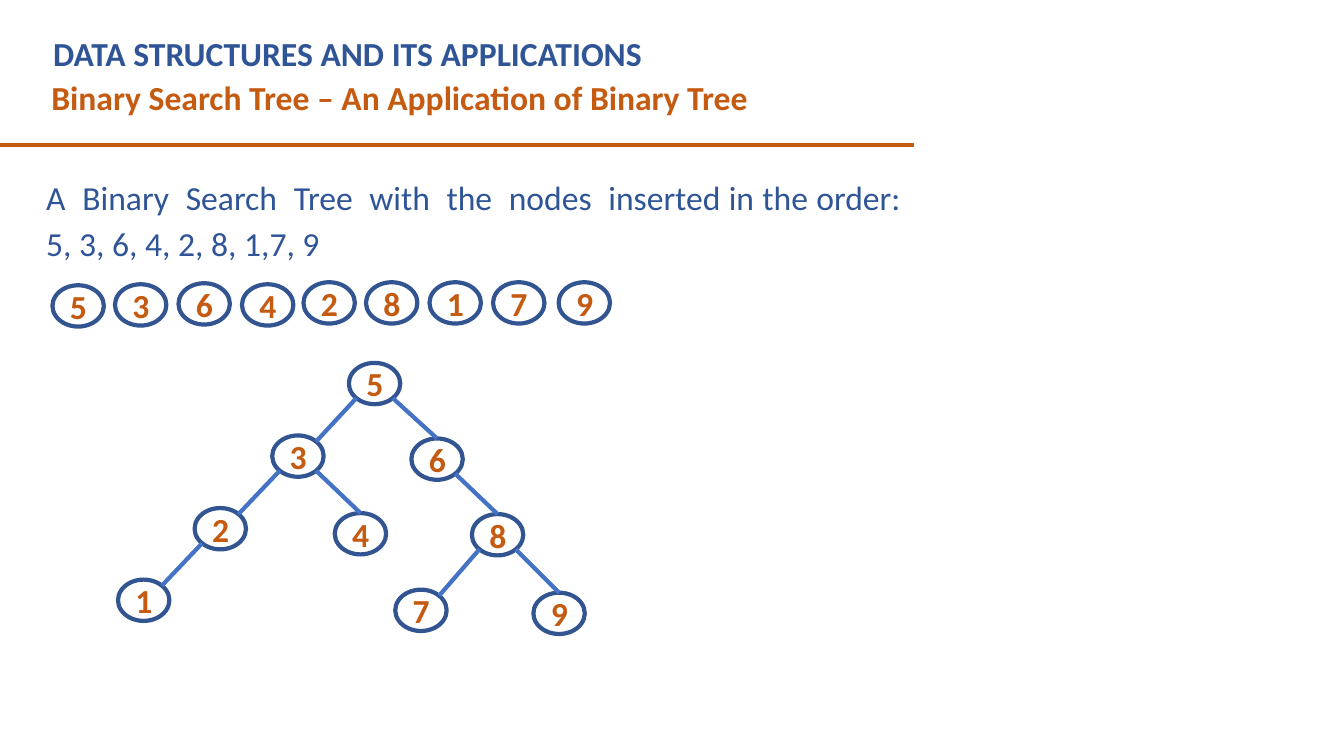
from math import sqrt
from lxml.etree import SubElement
from pptx import Presentation
from pptx.dml.color import RGBColor
from pptx.enum.shapes import MSO_CONNECTOR, MSO_SHAPE
from pptx.enum.text import MSO_ANCHOR, PP_ALIGN
from pptx.oxml.ns import qn
from pptx.util import Inches, Pt

COURSE = "DATA STRUCTURES AND ITS APPLICATIONS"
TITLE = "Binary Search Tree – An Application of Binary Tree"
BODY = "A  Binary  Search  Tree  with  the  nodes  inserted in the order: 5, 3, 6, 4, 2, 8, 1,7, 9"
BLUE, ORANGE, OUTLINE, EDGE, WHITE = "2F5597", "C55A11", "325491", "4472C4", "FFFFFF"

INSERTED = [
    ("5", 0.52, 2.83), ("3", 1.14, 2.82), ("6", 1.77, 2.81),
    ("4", 2.4, 2.82), ("2", 3.01, 2.8), ("8", 3.63, 2.8),
    ("1", 4.26, 2.8), ("7", 4.89, 2.8), ("9", 5.54, 2.8),
]
TREE = {
    "5": (3.46, 3.6), "3": (2.7, 4.32), "6": (4.08, 4.35),
    "2": (1.93, 5.04), "4": (3.32, 5.09), "8": (4.68, 5.1),
    "1": (1.17, 5.75), "7": (3.92, 5.85), "9": (5.29, 5.88),
}
LEFT_CHILDREN = [("5", "3"), ("3", "2"), ("2", "1"), ("8", "7")]
RIGHT_CHILDREN = [("5", "6"), ("3", "4"), ("6", "8"), ("8", "9")]
NODE_W, NODE_H = 0.51, 0.41
DX, DY = NODE_W / sqrt(8), NODE_H / sqrt(8)


def rgb(value):
    return RGBColor.from_string(value)


def write(sp, text, color, bold=True, align=PP_ALIGN.LEFT, anchor=MSO_ANCHOR.TOP):
    tf = sp.text_frame
    tf.word_wrap = True
    tf.vertical_anchor = anchor
    tf.text = text
    p = tf.paragraphs[0]
    p.alignment = align
    for r in p.runs:
        r.font.name = "Calibri"
        r.font.size = Pt(24)
        r.font.bold = bold
        r.font.color.rgb = rgb(color)
    return p


def add_node(s, label, left, top):
    sp = s.shapes.add_shape(MSO_SHAPE.OVAL, Inches(left), Inches(top),
                            Inches(NODE_W), Inches(NODE_H))
    sp.shadow.inherit = False
    sp.fill.solid()
    sp.fill.fore_color.rgb = rgb(WHITE)
    sp.line.color.rgb = rgb(OUTLINE)
    sp.line.width = Pt(3)
    write(sp, label, ORANGE, align=PP_ALIGN.CENTER, anchor=MSO_ANCHOR.MIDDLE)


def add_line(s, start, end, color):
    ln = s.shapes.add_connector(MSO_CONNECTOR.STRAIGHT,
                                *(Inches(v) for v in (*start, *end)))
    ln.line.color.rgb = rgb(color)
    ln.line.width = Pt(3)
    SubElement(ln._element.spPr, qn("a:effectLst"))


def point(label, dx, dy):
    left, top = TREE[label]
    return left + NODE_W / 2 + dx, top + NODE_H / 2 + dy


def main():
    prs = Presentation()
    prs.slide_width, prs.slide_height = Inches(13.33), Inches(7.5)
    s = prs.slides.add_slide(prs.slide_layouts[5])

    title = s.shapes.title
    title.left, title.top = Inches(0.41), Inches(0.71)
    title.width, title.height = Inches(8.75), Inches(0.5)
    write(title, TITLE, ORANGE)

    course = s.shapes.add_textbox(Inches(0.43), Inches(0.28), Inches(8.2), Inches(0.5))
    write(course, COURSE, BLUE)
    add_line(s, (-0.01, 1.44), (9.07, 1.44), ORANGE)

    body = s.shapes.add_textbox(Inches(0.36), Inches(1.7), Inches(8.68), Inches(0.95))
    body.text_frame.margin_top = body.text_frame.margin_bottom = 0
    p = write(body, BODY, BLUE, bold=False, align=PP_ALIGN.JUSTIFY)
    p.line_spacing = 1.14

    for label, left, top in INSERTED:
        add_node(s, label, left, top)
    for label, (left, top) in TREE.items():
        add_node(s, label, left, top)
    for parent, child in LEFT_CHILDREN:
        add_line(s, point(parent, -DX, DY), point(child, DX, -DY), EDGE)
    for parent, child in RIGHT_CHILDREN:
        add_line(s, point(parent, DX, DY), point(child, 0, -NODE_H / 2), EDGE)

    prs.save("out.pptx")


if __name__ == "__main__":
    main()
